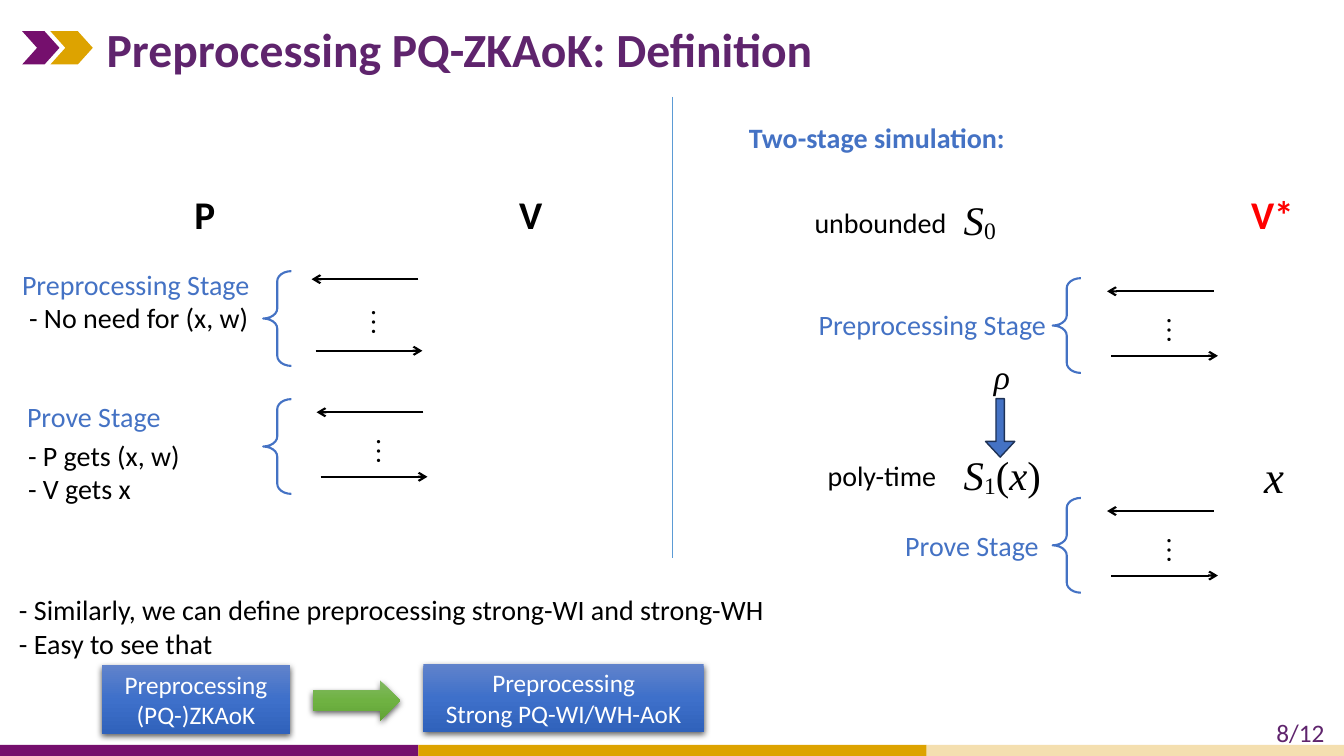
import copy
import dataclasses

import pptx
import pptx.dml.color
import pptx.enum.shapes
import pptx.enum.text
import pptx.oxml
import pptx.oxml.ns
import pptx.util
from pptx.util import Inches

Kind = pptx.enum.shapes.MSO_SHAPE
Align = pptx.enum.text.PP_ALIGN
Anchor = pptx.enum.text.MSO_ANCHOR
qn = pptx.oxml.ns.qn
NS = pptx.oxml.ns.nsdecls("a")


@dataclasses.dataclass(frozen=True)
class Theme:
    sans: str = "Calibri"
    serif: str = "Times New Roman"
    title: int = 34
    role: int = 28
    body: int = 20
    small: int = 18
    math: int = 29
    plum: str = "750F6D"
    gold: str = "DDA300"
    cream: str = "F4DFB0"
    violet: str = "5F246D"
    blue: str = "4472C4"
    navy: str = "1E3256"
    sky: str = "5B9BD5"
    red: str = "FF0000"
    black: str = "000000"
    white: str = "FFFFFF"
    blues: tuple = ("6183CB", "3E70CA", "3062BB")
    greens: tuple = ("81B861", "6FB242", "62A336")


T = Theme()


def rgb(code):
    return pptx.dml.color.RGBColor.from_string(code)


def write(para, text, size=T.body, color=T.black, face=T.sans,
          bold=False, slant=False, drop=0):
    run = para.add_run()
    run.text = text
    font = run.font
    font.size = pptx.util.Pt(size)
    font.name = face
    font.bold = bold
    font.italic = slant
    font.color.rgb = rgb(color)
    if drop:
        run._r.get_or_add_rPr().set("baseline", str(-drop * 1000))


def lines(frame, text, align=Align.LEFT, **style):
    for i, line in enumerate(text.split("\n")):
        para = frame.add_paragraph() if i else frame.paragraphs[0]
        para.alignment = align
        write(para, line, **style)


def frame(slide, x, y, w, h, wrap=True):
    box = slide.shapes.add_textbox(Inches(x), Inches(y), Inches(w), Inches(h))
    box.text_frame.word_wrap = wrap
    return box.text_frame


def label(slide, text, x, y, w, h=0.44, wrap=True, **style):
    area = frame(slide, x, y, w, h, wrap)
    lines(area, text, **style)
    return area


def math(slide, parts, x, y, w, size=T.math):
    para = frame(slide, x, y, w, 0.6, False).paragraphs[0]
    for text, style in parts:
        write(para, text, size=size, face=T.serif, **style)


def shape(slide, kind, x, y, w, h, fill=None, line=None, width=1, adj=()):
    item = slide.shapes.add_shape(kind, Inches(x), Inches(y), Inches(w), Inches(h))
    item.shadow.inherit = False
    for i, value in enumerate(adj):
        item.adjustments[i] = value
    if fill:
        item.fill.solid()
        item.fill.fore_color.rgb = rgb(fill)
    else:
        item.fill.background()
    if line:
        item.line.color.rgb = rgb(line)
        item.line.width = pptx.util.Pt(width)
    else:
        item.line.fill.background()
    return item


def glossy(slide, kind, x, y, w, h, shades, text=""):
    item = shape(slide, kind, x, y, w, h)
    item.fill.gradient()
    item.fill.gradient_angle = 270
    props = item._element.spPr
    stops = props.find(qn("a:gradFill")).find(qn("a:gsLst"))
    stops.insert(1, copy.deepcopy(stops[0]))
    for i, (stop, shade) in enumerate(zip(item.fill.gradient_stops, shades)):
        stop.position = i / 2
        stop.color.rgb = rgb(shade)
    props.find(qn("a:effectLst")).append(pptx.oxml.parse_xml(
        f'<a:outerShdw {NS} blurRad="57150" dist="19050" dir="5400000" '
        f'algn="ctr" rotWithShape="0"><a:srgbClr val="{T.black}">'
        '<a:alpha val="63000"/></a:srgbClr></a:outerShdw>'))
    if text:
        item.text_frame.vertical_anchor = Anchor.MIDDLE
        lines(item.text_frame, text, align=Align.CENTER, size=T.small, color=T.white)


def link(slide, x1, y1, x2, y2, color=T.black, width=1.5, arrow=True):
    item = slide.shapes.add_connector(
        pptx.enum.shapes.MSO_CONNECTOR.STRAIGHT,
        Inches(x1), Inches(y1), Inches(x2), Inches(y2))
    item.line.color.rgb = rgb(color)
    item.line.width = pptx.util.Pt(width)
    if arrow:
        item.line._get_or_add_ln().append(
            pptx.oxml.parse_xml(f'<a:tailEnd {NS} type="arrow"/>'))
    item._element.spPr.append(pptx.oxml.parse_xml(f"<a:effectLst {NS}/>"))


def stage(slide, brace_x, brace_y, x, y, gap=0.64):
    shape(slide, Kind.LEFT_BRACE, brace_x, brace_y, 0.28, 0.94,
          line=T.blue, width=1.5, adj=(0.356, 0.5))
    link(slide, x + 1.06, y, x, y)
    link(slide, x + 0.04, y + gap, x + 1.1, y + gap)
    dots = label(slide, "…", x + 0.39, y + gap / 2 - 0.165, 0.54, 0.66, face=T.serif)
    dots._txBody.bodyPr.set("vert", "eaVert")


def banner(slide):
    for x, w, color in ((0, 4.15, T.plum), (4.15, 5.04, T.gold), (9.19, 4.15, T.cream)):
        shape(slide, Kind.RECTANGLE, x, 7.39, w, 0.11, fill=color)
    for x, w, color in ((0.22, 0.37, T.plum), (0.5, 0.42, T.gold)):
        shape(slide, Kind.CHEVRON, x, 0.31, w, 0.33, fill=color, adj=(0.449,))
    label(slide, "8/12", 12.56, 7.07, 0.88, 0.4, size=T.small, color=T.violet)
    title = label(slide, "Preprocessing PQ-ZKAoK: Definition", 0.96, 0.12, 11.21, 0.73,
                  size=T.title, color=T.violet, bold=True)
    title.vertical_anchor = Anchor.MIDDLE


def real(slide):
    for name, x, w in (("P", 1.83, 0.41), ("V", 5.05, 0.43)):
        label(slide, name, x, 1.84, w, 0.57, wrap=False, size=T.role, bold=True)
    stage(slide, 2.61, 2.69, 3.09, 2.77, gap=0.71)
    stage(slide, 2.61, 3.96, 3.14, 4.09)
    label(slide, "Preprocessing Stage", 0.12, 2.6, 2.48, wrap=False, color=T.blue)
    label(slide, "- No need for (x, w)", 0.19, 2.93, 2.53)
    label(slide, "Prove Stage", 0.17, 3.91, 1.54, wrap=False, color=T.blue)
    label(slide, "- P gets (x, w)\n- V gets x", 0.18, 4.3, 1.9, 0.77)


def ideal(slide):
    slant = {"slant": True}
    drop = {"drop": 12}
    label(slide, "Two-stage simulation:", 7.33, 1.15, 3.24, color=T.blue, bold=True)
    label(slide, "unbounded", 7.98, 1.99, 1.58)
    math(slide, [("S", slant), ("0", drop)], 9.46, 1.88, 0.55)
    label(slide, "V*", 12.31, 1.84, 0.63, 0.57, wrap=False,
          size=T.role, color=T.red, bold=True)
    for y in (2.76, 4.94):
        stage(slide, 10.44, y, 10.98, y + 0.13)
    label(slide, "Preprocessing Stage", 8.02, 3, 2.48, wrap=False, color=T.blue)
    label(slide, "Prove Stage", 8.88, 5.19, 1.54, wrap=False, color=T.blue)
    math(slide, [("ρ", slant)], 9.76, 3.48, 0.37, size=24)
    down = shape(slide, Kind.RIGHT_ARROW, 9.63, 4.1, 0.58, 0.29,
                 fill=T.blue, line=T.navy, adj=(0.287, 0.536))
    down.rotation = 90
    label(slide, "poly-time", 8.11, 4.5, 1.36)
    math(slide, [("S", slant), ("1", drop), ("(", {}), ("x", slant), (")", {})],
         9.46, 4.41, 1.02)
    math(slide, [("x", slant)], 12.44, 4.4, 0.4, size=32)


def result(slide):
    label(slide, "- Similarly, we can define preprocessing strong-WI and strong-WH\n"
          "- Easy to see that", 0.09, 5.83, 8.3, 0.77)
    glossy(slide, Kind.RECTANGLE, 1.01, 6.6, 1.87, 0.68, T.blues,
           "Preprocessing\n(PQ-)ZKAoK")
    glossy(slide, Kind.RECTANGLE, 4.2, 6.59, 2.78, 0.67, T.blues,
           "Preprocessing\nStrong PQ-WI/WH-AoK")
    glossy(slide, Kind.RIGHT_ARROW, 3.1, 6.75, 0.87, 0.4, T.greens)


def main():
    deck = pptx.Presentation()
    deck.slide_width = Inches(13.33)
    deck.slide_height = Inches(7.5)
    slide = deck.slides.add_slide(deck.slide_layouts[6])
    banner(slide)
    real(slide)
    ideal(slide)
    result(slide)
    link(slide, 6.67, 0.96, 6.67, 5.54, color=T.sky, width=0.5, arrow=False)
    deck.save("out.pptx")


if __name__ == "__main__":
    main()
